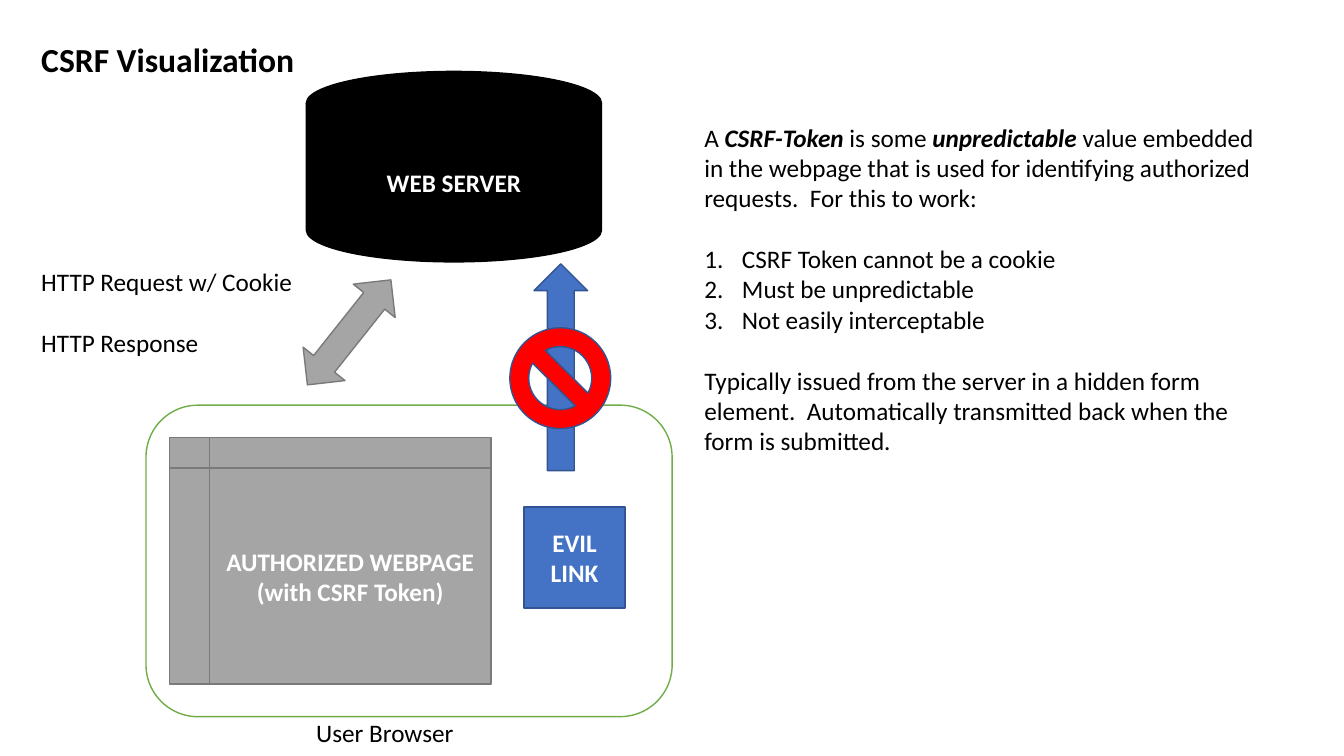
from lxml import etree
from pptx import Presentation
from pptx.dml.color import RGBColor
from pptx.enum.shapes import MSO_SHAPE
from pptx.enum.text import MSO_ANCHOR, MSO_AUTO_SIZE, PP_ALIGN
from pptx.oxml.ns import qn
from pptx.util import Cm, Pt

ROUND = MSO_SHAPE.ROUNDED_RECTANGLE
RECT = MSO_SHAPE.RECTANGLE
STORE = MSO_SHAPE.FLOWCHART_INTERNAL_STORAGE
DISK = MSO_SHAPE.FLOWCHART_MAGNETIC_DISK
BOTH = MSO_SHAPE.LEFT_RIGHT_ARROW
UP = MSO_SHAPE.UP_ARROW
BAN = MSO_SHAPE.NO_SYMBOL
MIDDLE = MSO_ANCHOR.MIDDLE
FIT = MSO_AUTO_SIZE.SHAPE_TO_FIT_TEXT
LEFT, CENTER = PP_ALIGN.LEFT, PP_ALIGN.CENTER

color = RGBColor.from_string


def write(frame, paras, ink, align, size=18, bold=False):
    for i, (kind, runs) in enumerate(paras):
        para = frame.paragraphs[0] if i == 0 else frame.add_paragraph()
        para.alignment = align
        if kind == "list":
            props = para._p.get_or_add_pPr()
            props.set("marL", str(Cm(0.95)))
            props.set("indent", str(-Cm(0.95)))
            mark = etree.SubElement(props, qn("a:buAutoNum"))
            mark.set("type", "arabicPeriod")
        if i and (kind == "gap" or kind != paras[i - 1][0]):
            para.space_before = Pt(22)
        for text, strong in runs:
            run = para.add_run()
            run.text = text
            font = run.font
            font.name = "Calibri"
            font.size = Pt(size)
            font.bold = bold or strong
            font.italic = strong
            font.color.rgb = color(ink)


deck = Presentation()
deck.slide_width, deck.slide_height = Cm(33.87), Cm(19.05)
slide = deck.slides.add_slide(deck.slide_layouts[6])

GRAY, BLUE = ("A5A5A5", "7A7A7A"), ("4472C4", "325491")
forms = [
    (ROUND, (3.68, 10.21, 13.26, 7.85), ("FFFFFF", "70AD47"), 0, []),
    (RECT, (13.21, 12.78, 2.54, 2.54), BLUE, 0, ["EVIL LINK"]),
    (STORE, (4.27, 11.02, 8.1, 6.22), GRAY, 0,
     ["AUTHORIZED WEBPAGE", "(with CSRF Token)"]),
    (DISK, (7.72, 1.8, 7.44, 4.8), ("000000", "000000"), 0, ["WEB SERVER"]),
    (BOTH, (7.11, 7.7, 3.38, 1.35), GRAY, 308.5, []),
    (UP, (13.46, 6.65, 1.35, 5.21), BLUE, 0, []),
    (BAN, (12.85, 8.26, 2.54, 2.54), ("FF0000", "325491"), 0, []),
]
for kind, place, (fill, edge), turn, lines in forms:
    form = slide.shapes.add_shape(kind, *map(Cm, place))
    form.shadow.inherit = False
    form.rotation = turn
    form.fill.solid()
    form.fill.fore_color.rgb = color(fill)
    form.line.color.rgb = color(edge)
    form.line.width = Pt(1)
    form.text_frame.vertical_anchor = MIDDLE
    write(form.text_frame, [("", [(line, False)]) for line in lines],
          "FFFFFF", CENTER, bold=True)

token = [
    ("", [("A ", False), ("CSRF-Token", True), (" is some ", False),
          ("unpredictable", True),
          (" value embedded in the webpage that is used for identifying "
           "authorized requests.  For this to work:", False)]),
    ("list", [("CSRF Token cannot be a cookie", False)]),
    ("list", [("Must be unpredictable", False)]),
    ("list", [("Not easily interceptable", False)]),
    ("gap", [("Typically issued from the server in a hidden form element.  "
              "Automatically transmitted back when the form is submitted.",
              False)]),
]
traffic = [("", [("HTTP Request w/ Cookie", False)]),
           ("gap", [("HTTP Response", False)])]
notes = [
    ((0.79, 6.58, 6.91, 2.57), False, 18, False, traffic),
    ((7.72, 17.96, 4.01, 1.02), False, 18, False,
     [("", [("User Browser", False)])]),
    ((17.5, 2.95, 14.38, 8.71), True, 18, False, token),
    ((0.79, 0.86, 6.96, 1.27), False, 24, True,
     [("", [("CSRF Visualization", False)])]),
]
for place, wrap, size, bold, paras in notes:
    frame = slide.shapes.add_textbox(*map(Cm, place)).text_frame
    frame.word_wrap = wrap
    frame.auto_size = FIT
    write(frame, paras, "000000", LEFT, size, bold)

deck.save("out.pptx")
